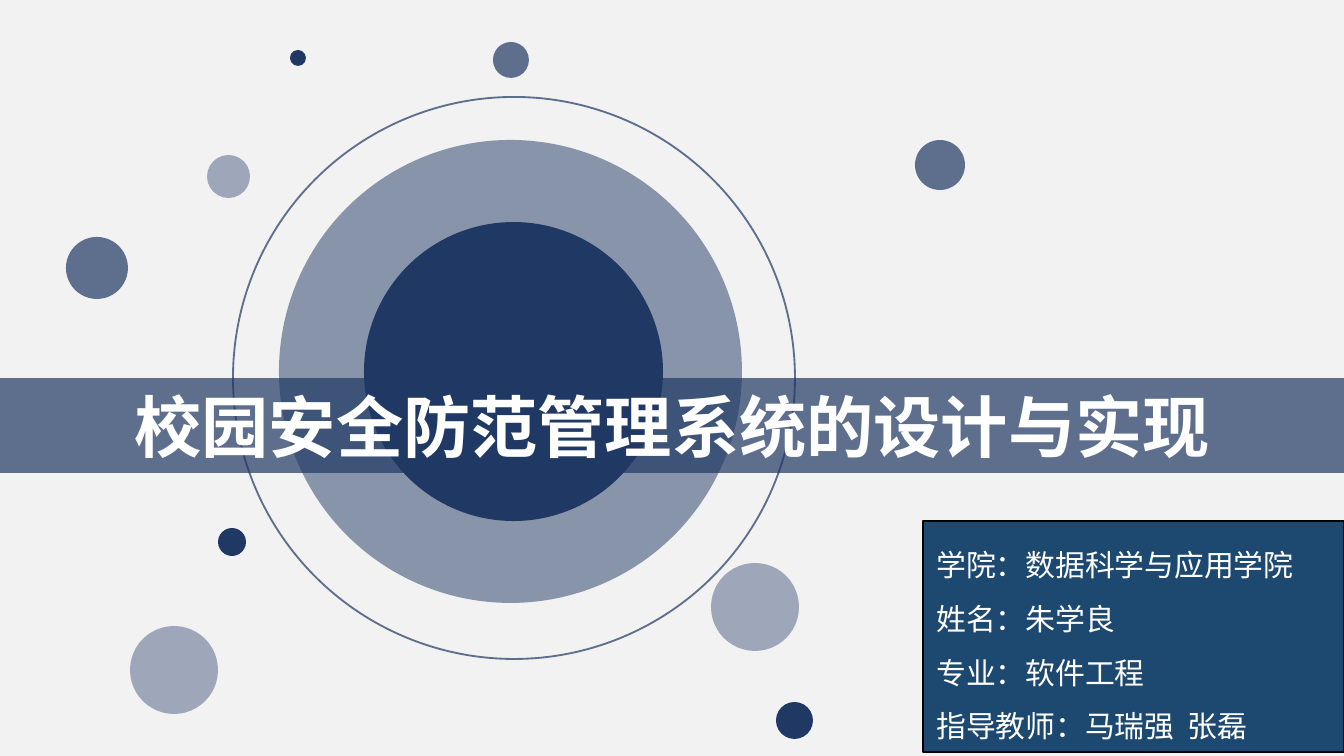
import pptx
import pptx.util
import pptx.dml.color
import pptx.enum.shapes
import pptx.enum.text
import pptx.oxml.ns
import lxml.etree

PX = 914400 / 134.4
NAVY = "203864"
WHITE = "FFFFFF"
FONT = "Noto Sans CJK SC"
qn = pptx.oxml.ns.qn


def paint(color, tint, alpha=100):
    color.rgb = pptx.dml.color.RGBColor.from_string(tint)
    if alpha < 100:
        node = color._xFill.find(qn("a:srgbClr"))
        lxml.etree.SubElement(node, qn("a:alpha")).set("val", str(alpha * 1000))


def place(shape, box, tint, alpha, text, size, align, gap):
    shape.left, shape.top, shape.width, shape.height = [round(n * PX) for n in box]
    shape.fill.solid()
    paint(shape.fill.fore_color, tint, alpha)
    frame = shape.text_frame
    frame.text = text
    frame.word_wrap = True
    frame.auto_size = pptx.enum.text.MSO_AUTO_SIZE.NONE
    frame.vertical_anchor = pptx.enum.text.MSO_ANCHOR.MIDDLE
    for para in frame.paragraphs:
        para.alignment = align
        para.line_spacing = gap
        para.space_before = pptx.util.Pt(0)
        for run in para.runs:
            run.font.size = pptx.util.Pt(size)
            run.font.name = FONT
            paint(run.font.color, WHITE)
            east = lxml.etree.SubElement(run.font._element, qn("a:ea"))
            east.set("typeface", FONT)
    tree.append(shape._element)


deck = pptx.Presentation()
deck.slide_width = round(1344 * PX)
deck.slide_height = round(756 * PX)
slide = deck.slides.add_slide(deck.slide_layouts[0])
tree = slide.shapes._spTree
slide.background.fill.solid()
paint(slide.background.fill.fore_color, "F2F2F2")

dots = [
    (279, 140, 463, 50),
    (493, 42, 36, 70),
    (130, 626, 88, 40),
    (290, 50, 16, 100),
    (218, 528, 28, 100),
    (915, 140, 50, 70),
    (207, 155, 43, 40),
    (711, 563, 88, 40),
    (233, 97, 562, 0),
    (364, 222, 299, 100),
    (66, 237, 62, 70),
    (776, 702, 37, 100),
]
for x, y, size, alpha in dots:
    dot = slide.shapes.add_shape(
        pptx.enum.shapes.MSO_SHAPE.OVAL,
        round(x * PX), round(y * PX), round(size * PX), round(size * PX))
    dot.shadow.inherit = False
    if alpha:
        dot.fill.solid()
        paint(dot.fill.fore_color, NAVY, alpha)
        dot.line.fill.background()
    else:
        dot.fill.background()
        dot.line.fill.solid()
        paint(dot.line.fill.fore_color, NAVY, 70)
        dot.line.width = pptx.util.Pt(1)

title, info = slide.placeholders
place(title, (0, 378, 1344, 95), NAVY, 70, "校园安全防范管理系统的设计与实现",
      36, pptx.enum.text.PP_ALIGN.CENTER, 1.0)
title.text_frame.paragraphs[0].runs[0].font.bold = True

lines = ["学院：数据科学与应用学院", "姓名：朱学良", "专业：软件工程", "指导教师：马瑞强  张磊"]
place(info, (923, 521, 421, 231), "1D4971", 100, "\n".join(lines),
      16, pptx.enum.text.PP_ALIGN.LEFT, 1.5)
info.line.fill.solid()
paint(info.line.fill.fore_color, "000000")
info.line.width = pptx.util.Pt(0.75)

deck.save("out.pptx")
